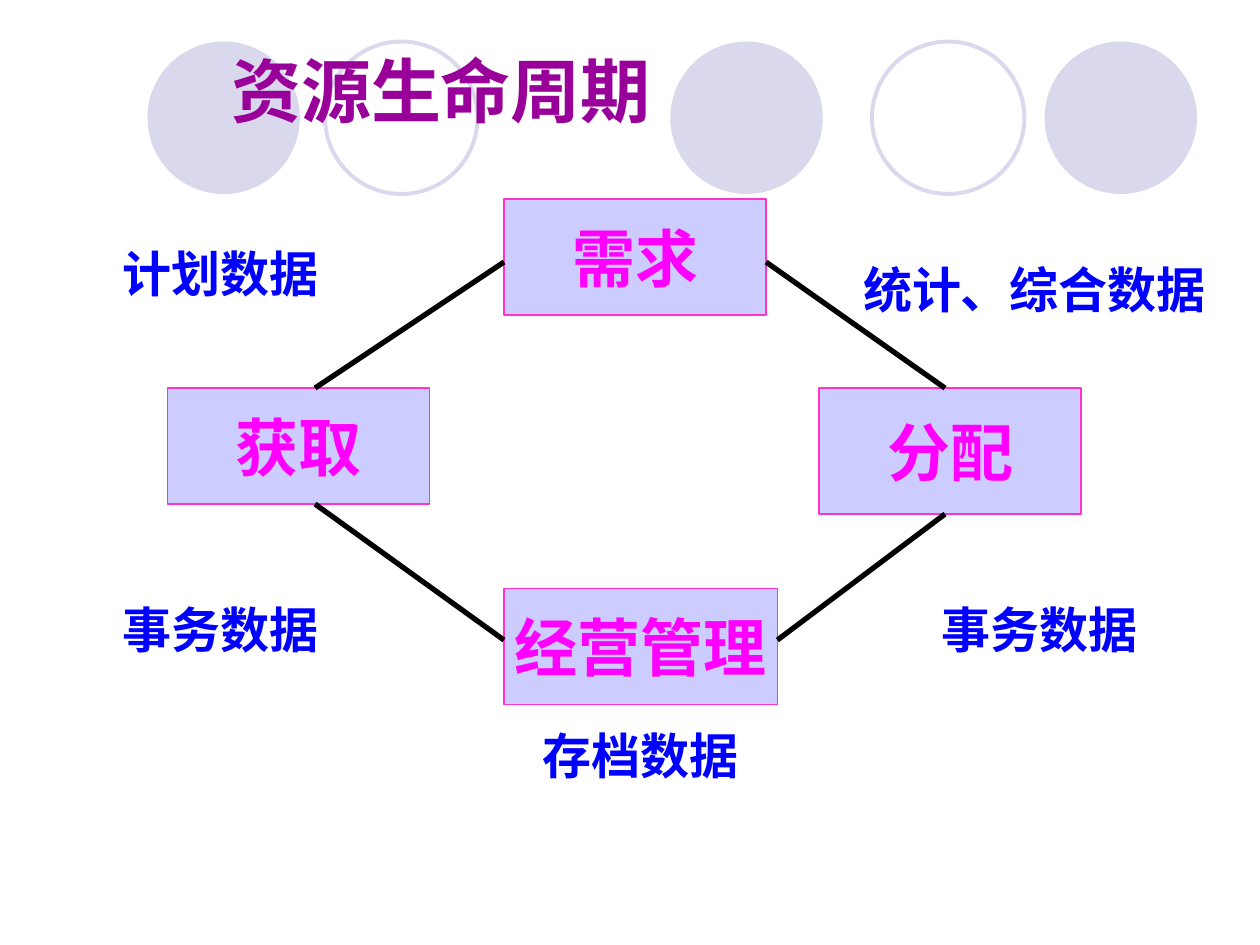
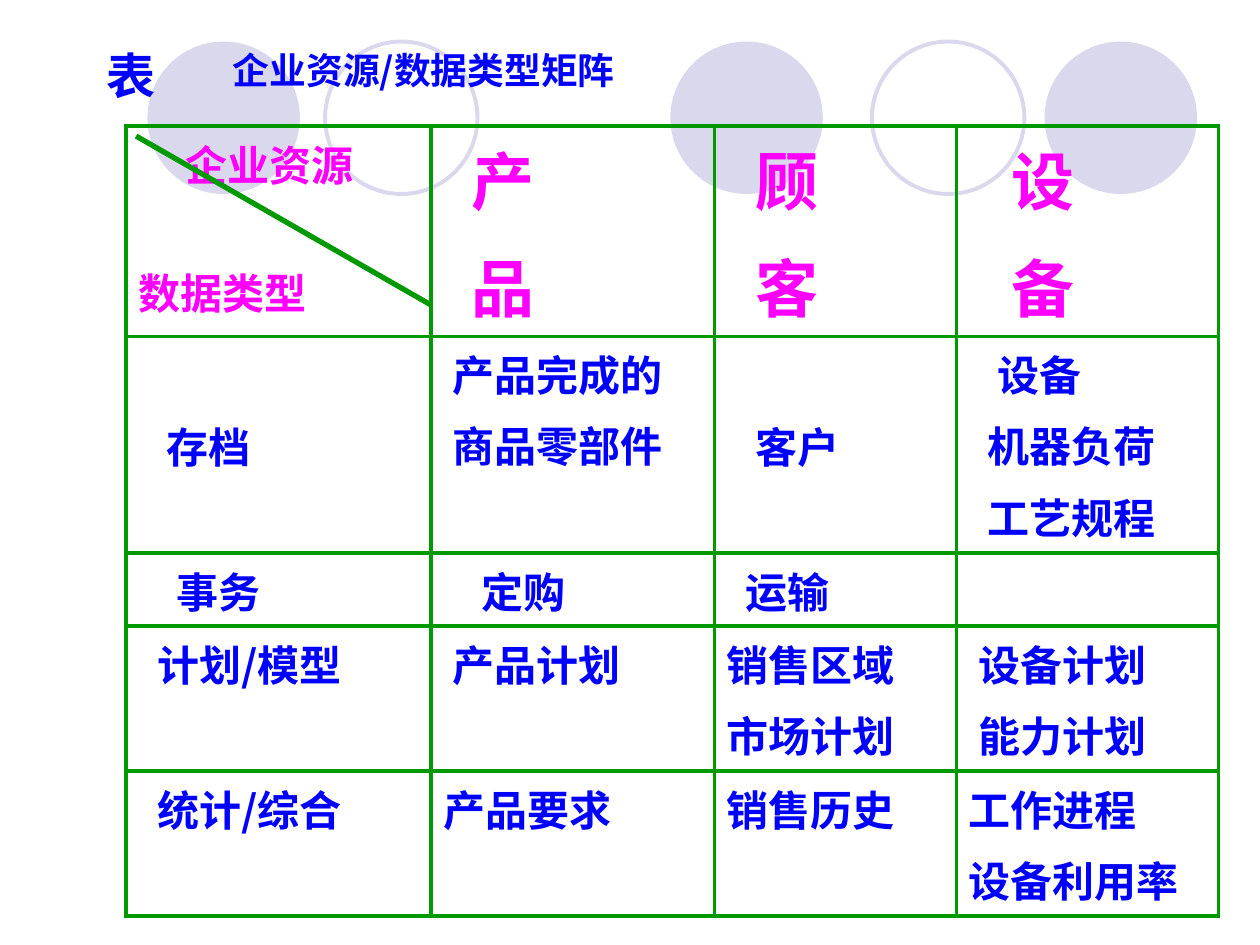
from lxml import etree
from pptx import Presentation
from pptx.dml.color import RGBColor
from pptx.enum import shapes, text as t
from pptx.oxml import ns
from pptx.util import Inches, Pt

LAVENDER = RGBColor(0xD9, 0xD8, 0xEC)
BOX_FILL = RGBColor(0xCC, 0xCC, 0xFF)
BOX_LINE = RGBColor(0xFF, 0x33, 0xCC)
MAGENTA = RGBColor(0xFF, 0x00, 0xFF)
BLUE = RGBColor(0x00, 0x00, 0xFF)
PURPLE = RGBColor(0x99, 0x00, 0x99)
GREEN = RGBColor(0x00, 0x99, 0x00)
BLACK = RGBColor(0x00, 0x00, 0x00)
SERIF = "Times New Roman"
SANS = "Noto Sans CJK SC"
INDENT_STEP = 0.224
CIRCLES = [(5.32, 0.33, True), (8.29, 0.33, True), (1.17, 0.33, True),
           (6.92, 0.33, False), (2.58, 0.33, False)]


def write(frame, text, size, color, font=SANS, align=t.PP_ALIGN.CENTER,
          level=0, before=0, wrap=False):
    frame.word_wrap = wrap
    frame.vertical_anchor = t.MSO_ANCHOR.MIDDLE
    paragraph = frame.add_paragraph() if frame.text else frame.paragraphs[0]
    paragraph.alignment = align
    paragraph.space_before = Pt(before)
    properties = paragraph._p.get_or_add_pPr()
    properties.set("marL", str(Pt(level * size * INDENT_STEP)))
    properties.set("indent", "0")
    run = paragraph.add_run()
    run.text = text
    run.font.size = Pt(size)
    run.font.bold = True
    run.font.color.rgb = color
    run.font.name = font
    etree.SubElement(run._r.get_or_add_rPr(), ns.qn("a:ea"), typeface=SANS)


def draw_line(slide, start, end, color):
    x1, y1, x2, y2 = (Inches(value) for value in start + end)
    line = slide.shapes.add_connector(shapes.MSO_CONNECTOR.STRAIGHT, x1, y1, x2, y2)
    line.line.color.rgb = color
    line.line.width = Pt(3)
    etree.SubElement(line._element.spPr, ns.qn("a:effectLst"))


presentation = Presentation()
presentation.slide_width = Inches(10)
presentation.slide_height = Inches(7.5)
cycle_slide, matrix_slide = (
    presentation.slides.add_slide(presentation.slide_layouts[6]) for _ in range(2))

for slide in (cycle_slide, matrix_slide):
    for left, top, filled in CIRCLES:
        circle = slide.shapes.add_shape(
            shapes.MSO_SHAPE.OVAL, Inches(left), Inches(top), Inches(1.21), Inches(1.21))
        circle.shadow.inherit = False
        if filled:
            circle.fill.solid()
            circle.fill.fore_color.rgb = LAVENDER
            circle.line.fill.background()
        else:
            circle.fill.background()
            circle.line.color.rgb = LAVENDER
            circle.line.width = Pt(2.25)

stages = [
    ("需求", 4, 1.58, 2.08, 0.92),
    ("获取", 1.33, 3.08, 2.08, 0.92),
    ("分配", 6.5, 3.08, 2.08, 1),
    ("经营管理", 4, 4.67, 2.17, 0.92),
]
for name, *place in stages:
    box = cycle_slide.shapes.add_shape(
        shapes.MSO_SHAPE.RECTANGLE, *(Inches(value) for value in place))
    box.shadow.inherit = False
    box.fill.solid()
    box.fill.fore_color.rgb = BOX_FILL
    box.line.color.rgb = BOX_LINE
    box.line.width = Pt(0.75)
    write(box.text_frame, name, 36, MAGENTA, SERIF)

for start, end in [((4, 2.08), (2.5, 3.08)), ((2.5, 4), (4, 5.08)),
                   ((6.08, 2.08), (7.5, 3.08)), ((7.5, 4.08), (6.17, 5.08))]:
    draw_line(cycle_slide, start, end, BLACK)

labels = [
    ("统计、综合数据", 6.71, 1.92, 3, 0.75, 28, BLUE),
    ("计划数据", 0.5, 1.75, 2.5, 0.83, 28, BLUE),
    ("事务数据", 0.5, 4.58, 2.5, 0.83, 28, BLUE),
    ("事务数据", 7, 4.58, 2.5, 0.83, 28, BLUE),
    ("资源生命周期", 0, 0.42, 7, 0.58, 40, PURPLE),
    ("存档数据", 3.98, 5.56, 2.21, 0.87, 28, BLUE),
]
for label, *place, size, color in labels:
    textbox = cycle_slide.shapes.add_textbox(*(Inches(value) for value in place))
    write(textbox.text_frame, label, size, color, SERIF)

title = matrix_slide.shapes.add_textbox(Inches(1.75), Inches(0.28), Inches(5), Inches(0.55))
write(title.text_frame, "企业资源/数据类型矩阵", 21, BLUE, align=t.PP_ALIGN.LEFT, wrap=True)

column_widths = [2.42, 2.25, 1.92, 2.08]
row_heights = [1.67, 1.72, 0.58, 1.15, 1.15]
matrix = [
    [[(5, "企业资源"), (0, "数据类型")], [(2, "产"), (2, "品")],
     [(2, "顾"), (2, "客")], [(3, "设"), (3, "备")]],
    [[(3, "存档")], [(1, "产品完成的"), (1, "商品零部件")],
     [(3, "客户")], [(3, "设备"), (2, "机器负荷"), (2, "工艺规程")]],
    [[(4, "事务")], [(4, "定购")], [(2, "运输")], []],
    [[(2, "计划/模型")], [(1, "产品计划")],
     [(0, "销售区域"), (0, "市场计划")], [(1, "设备计划"), (1, "能力计划")]],
    [[(2, "统计/综合")], [(0, "产品要求")],
     [(0, "销售历史")], [(0, "工作进程"), (0, "设备利用率")]],
]
second_line_cells = [(1, 0), (1, 2)]
table = matrix_slide.shapes.add_table(
    len(row_heights), len(column_widths), Inches(1), Inches(1),
    Inches(sum(column_widths)), Inches(sum(row_heights))).table
table.first_row = False
table.horz_banding = False
for column, width in zip(table.columns, column_widths):
    column.width = Inches(width)
for row, height in zip(table.rows, row_heights):
    row.height = Inches(height)

for row_index, row_cells in enumerate(matrix):
    for column_index, lines in enumerate(row_cells):
        cell = table.cell(row_index, column_index)
        is_corner = row_index == column_index == 0
        is_heading = row_index == 0 and not is_corner
        for line_index, (level, line) in enumerate(lines):
            before = 9 if is_heading else 38.5 if is_corner and line_index else 6
            write(cell.text_frame, line, 36 if is_heading else 24,
                  BLUE if row_index else MAGENTA, align=t.PP_ALIGN.LEFT,
                  level=level, before=before, wrap=True)
        cell.vertical_anchor = t.MSO_ANCHOR.TOP
        if (row_index, column_index) in second_line_cells:
            cell.margin_top = Inches(0.62)
        properties = cell._tc.get_or_add_tcPr()
        for side in ("lnL", "lnR", "lnT", "lnB"):
            border = etree.SubElement(properties, ns.qn(f"a:{side}"), w=str(Pt(2.21)))
            fill = etree.SubElement(border, ns.qn("a:solidFill"))
            etree.SubElement(fill, ns.qn("a:srgbClr"), val=str(GREEN))
        cell.fill.background()

draw_line(matrix_slide, (1.08, 1.08), (3.42, 2.42), GREEN)
table_label = matrix_slide.shapes.add_textbox(Inches(0), Inches(0.28), Inches(2.08), Inches(0.63))
write(table_label.text_frame, "表", 28, BLUE)

presentation.save("out.pptx")
